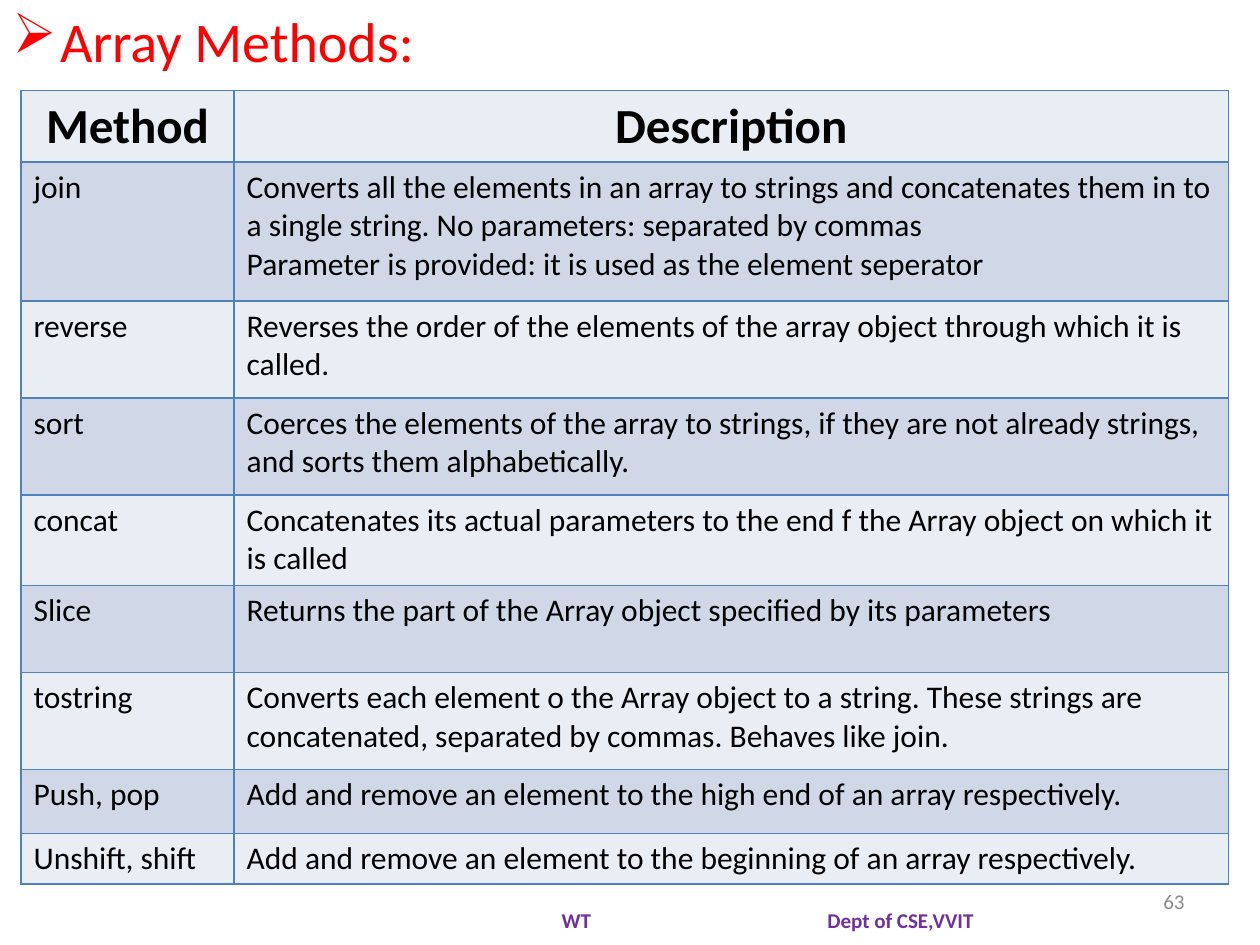
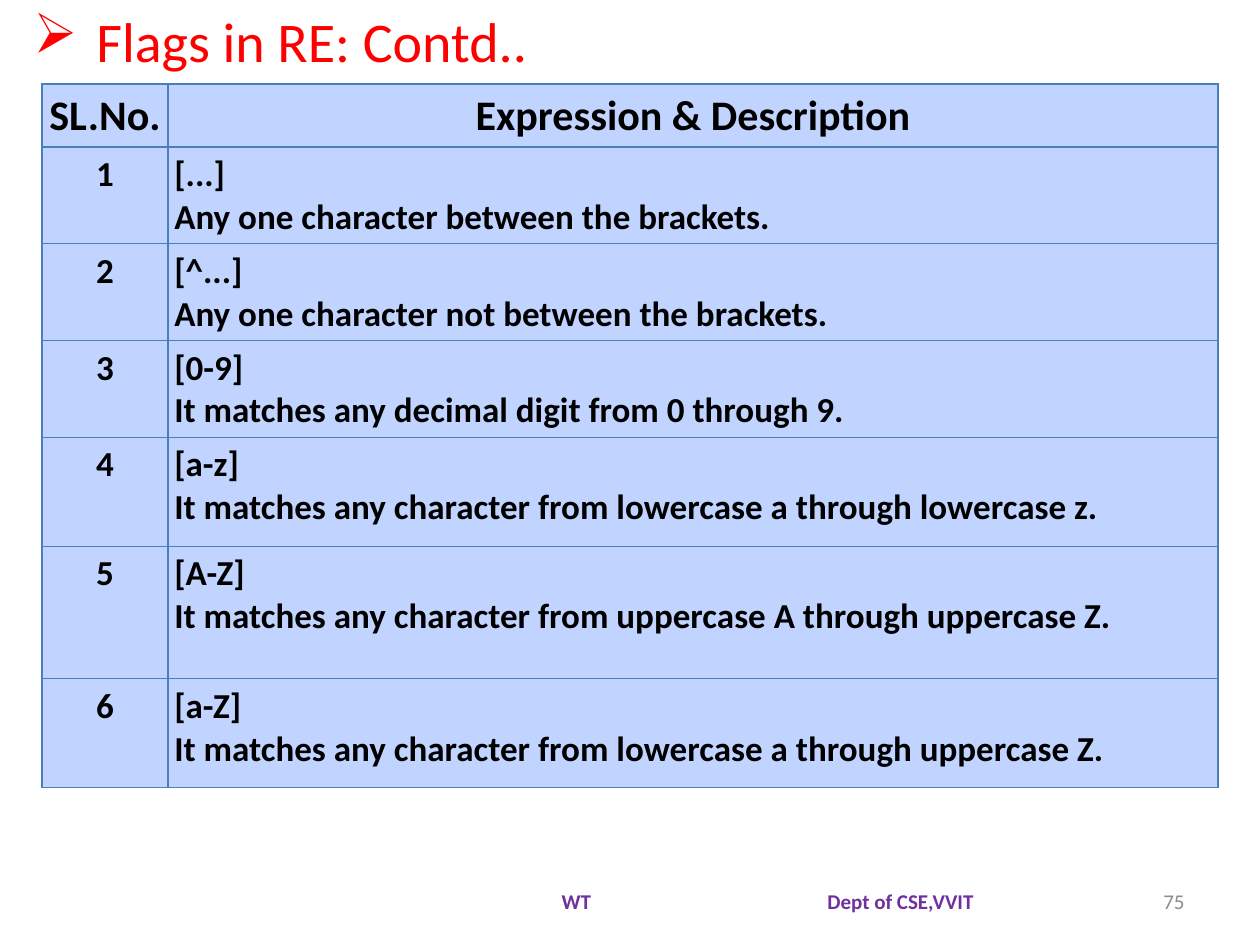
"""Build two reference slides on array methods and regular expression flags."""
from lxml.etree import SubElement
from pptx import Presentation
from pptx.dml.color import RGBColor
from pptx.enum.text import MSO_ANCHOR as Anchor, PP_ALIGN as Align
from pptx.oxml.ns import qn
from pptx.util import Inches, Pt

COLORS = {
    "title": "FF0000", "text": "000000", "page": "8C8C8C", "footer": "7030A0",
    "light": "E9EDF4", "dark": "D0D8E8", "grid": "4F81BD",
    "flags": "C0D4FF", "flags_grid": "4B7EBC",
}
FONT = "Calibri"
UNIT = Inches(10) // 120
FOOTER_ROW = 83.4

METHODS = [
    ("Method", "Description"),
    ("join", "Converts all the elements in an array to strings and concatenates them in to "
             "a single string. No parameters: separated by commas\n"
             "Parameter is provided: it is used as the element seperator"),
    ("reverse", "Reverses the order of the elements of the array object through which it is called."),
    ("sort", "Coerces the elements of the array to strings, if they are not already strings, "
             "and sorts them alphabetically."),
    ("concat", "Concatenates its actual parameters to the end f the Array object on which it is called"),
    ("Slice", "Returns the part of the Array object specified by its parameters"),
    ("tostring", "Converts each element o the Array object to a string. These strings are "
                 "concatenated, separated by commas. Behaves like join."),
    ("Push, pop", "Add and remove an element to the high end of an array respectively."),
    ("Unshift, shift", "Add and remove an element to the beginning of an array respectively."),
]
FLAGS = [
    ("[...]", "Any one character between the brackets."),
    ("[^...]", "Any one character not between the brackets."),
    ("[0-9]", "It matches any decimal digit from 0 through 9."),
    ("[a-z]", "It matches any character from lowercase a through lowercase z."),
    ("[A-Z]", "It matches any character from uppercase A through uppercase Z."),
    ("[a-Z]", "It matches any character from lowercase a through uppercase Z."),
]


def grid(*lengths):
    """Turn grid units, 120 to the slide's width, into EMU."""
    return [int(length * UNIT) for length in lengths]


def write(frame, text, size, color, bold=False, align=Align.LEFT):
    """Fill a text frame with one run for each line of text."""
    for index, line in enumerate(text.split("\n")):
        paragraph = frame.add_paragraph() if index else frame.paragraphs[0]
        paragraph.alignment = align
        run = paragraph.add_run()
        run.text = line
        font = run.font
        font.name, font.size, font.bold = FONT, Pt(size), bold
        font.color.rgb = RGBColor.from_string(COLORS[color])


def add_text(slide, place, text, size, color, anchor=Anchor.TOP, **style):
    """Add a wrapping text box and return its frame."""
    frame = slide.shapes.add_textbox(*grid(*place)).text_frame
    frame.word_wrap = True
    frame.vertical_anchor = anchor
    write(frame, text, size, color, **style)
    return frame


def add_title(slide, place, text, indent):
    """Add the red title with its hanging arrow bullet."""
    frame = add_text(slide, place, text, 32, "title")
    properties = frame.paragraphs[0]._p.get_or_add_pPr()
    properties.set("marL", str(Inches(indent)))
    properties.set("indent", str(-Inches(indent)))
    SubElement(properties, qn("a:buChar"), char="➢")


def add_footer(slide, page, course_row=FOOTER_ROW):
    """Add the page number and the course line, split by a tab stop."""
    add_text(slide, (86, FOOTER_ROW, 28, 4.8), page, 12, "page", Anchor.MIDDLE, align=Align.RIGHT)
    course = add_text(slide, (41, course_row, 68, 4.8), "WT\tDept of CSE,VVIT", 12, "footer",
                      Anchor.MIDDLE, bold=True)
    course.margin_left, tab = grid(12.5, 25.3)
    stops = SubElement(course.paragraphs[0]._p.get_or_add_pPr(), qn("a:tabLst"))
    SubElement(stops, qn("a:tab"), pos=str(tab), algn="l")


def outline(cell, color, width):
    """Draw the four borders of a cell."""
    properties = cell._tc.get_or_add_tcPr()
    for side in "LRTB":
        line = SubElement(properties, qn(f"a:ln{side}"), w=str(Pt(width)))
        SubElement(SubElement(line, qn("a:solidFill")), qn("a:srgbClr"), val=COLORS[color])


def add_grid_table(slide, corner, widths, heights, rows, fills, border, style, inset=None):
    """Add a table whose fills repeat by row; style gives each cell's text style."""
    size = sum(widths), sum(heights)
    table = slide.shapes.add_table(len(rows), len(widths), *grid(*corner, *size)).table
    table.horz_banding = False
    for column, width in zip(table.columns, grid(*widths)):
        column.width = width
    for row, height in zip(table.rows, grid(*heights)):
        row.height = height
    for r, texts in enumerate(rows):
        for c, text in enumerate(texts):
            cell = table.cell(r, c)
            outline(cell, *border)
            cell.fill.solid()
            cell.fill.fore_color.rgb = RGBColor.from_string(COLORS[fills[r % len(fills)]])
            if inset:
                cell.margin_left = cell.margin_right = Inches(inset)
                cell.margin_top = cell.margin_bottom = Inches(inset)
            write(cell.text_frame, text, color="text", **style(r, c))


def method_style(row, column):
    """Style the methods table: large bold header, plain body."""
    if row == 0:
        return {"size": 28, "bold": True, "align": Align.CENTER}
    return {"size": 18}


def flag_style(row, column):
    """Style the flags table: all bold, with justified descriptions."""
    centred = row == 0 or column == 0
    return {"size": 20 if row else 24, "bold": True,
            "align": Align.CENTER if centred else Align.JUSTIFY}


def add_methods_slide(slide):
    """Lay out the array methods."""
    add_title(slide, (0, 0, 120, 90), "Array Methods:", 0.38)
    add_grid_table(slide, (2, 8.64), (20.3, 94.7), (6, 13.2, 9.25, 9.25, 8.6, 8.3, 9.25, 6.1, 4.3),
                   METHODS, ("light", "dark"), ("grid", 1), method_style)
    add_footer(slide, "63", course_row=85.2)


def add_flags_slide(slide):
    """Lay out the numbered expressions."""
    rows = [("SL.No.", "Expression & Description")]
    rows += [(str(number), "\n".join(flag)) for number, flag in enumerate(FLAGS, 1)]
    add_title(slide, (2, 0, 67, 7.7), "Flags in RE: Contd..", 0.5)
    add_grid_table(slide, (4, 8), (12, 100), (3.6, 8.2, 8.2, 8.2, 10.4, 12.6, 10.4),
                   rows, ("flags",), ("flags_grid", 0.75), flag_style, inset=0.05)
    add_footer(slide, "75")


def main():
    """Build and save the presentation."""
    deck = Presentation()
    deck.slide_width, deck.slide_height = grid(120, 90)
    blank = deck.slide_layouts[6]
    for fill_slide in (add_methods_slide, add_flags_slide):
        fill_slide(deck.slides.add_slide(blank))
    deck.save("out.pptx")


if __name__ == "__main__":
    main()
